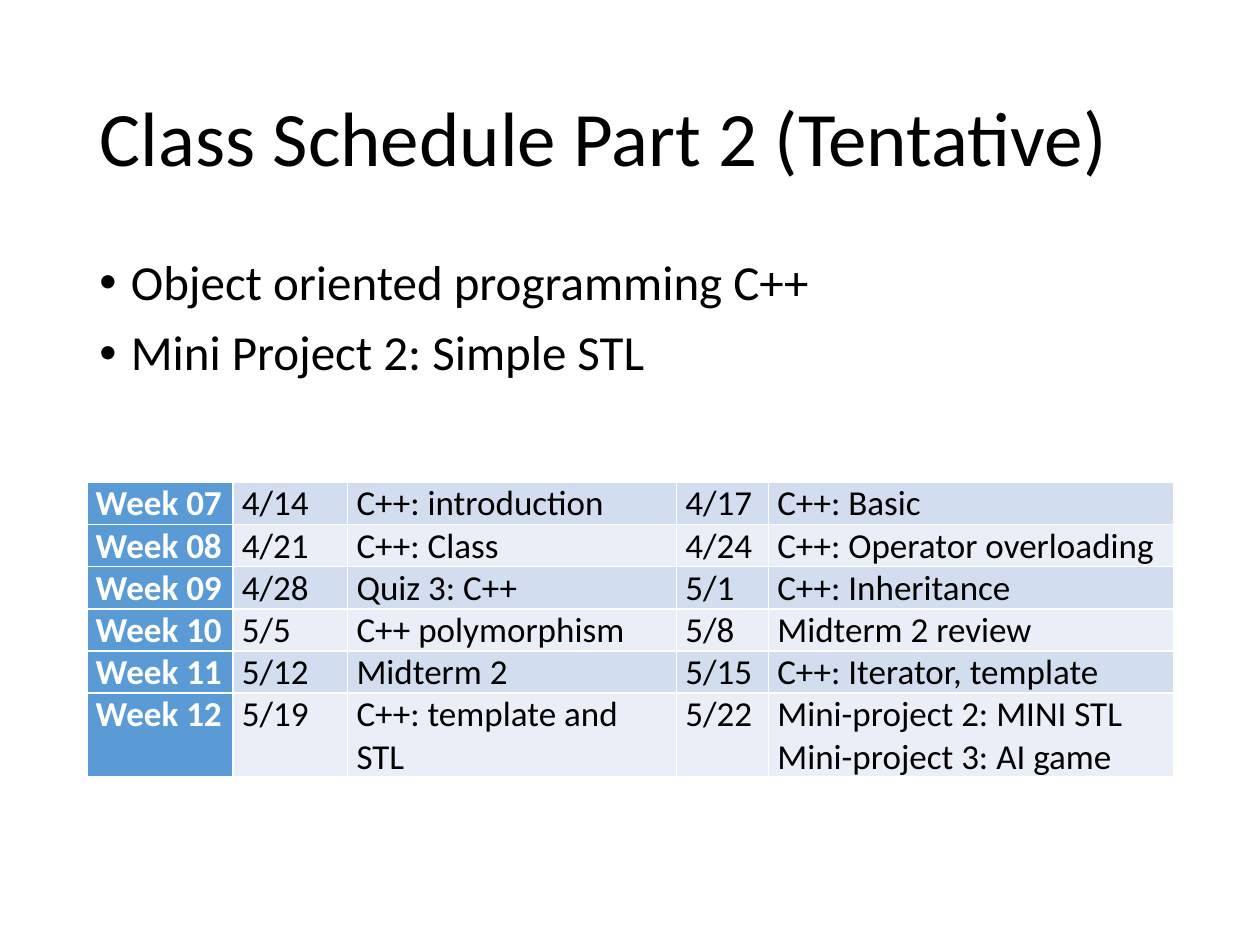
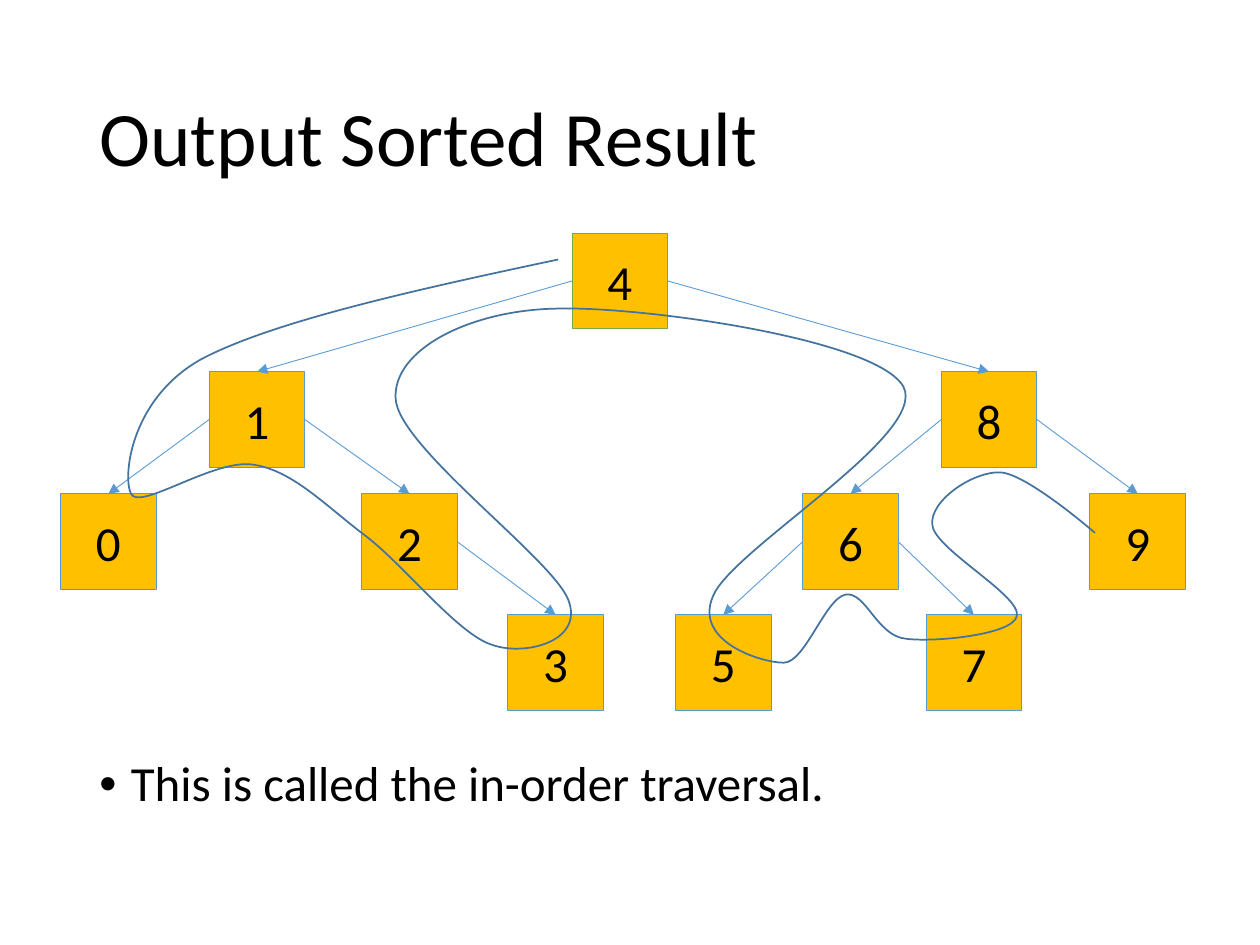
from lxml import etree
from pptx import Presentation
from pptx.dml.color import RGBColor
from pptx.enum.shapes import MSO_CONNECTOR, MSO_SHAPE
from pptx.enum.text import MSO_ANCHOR, PP_ALIGN
from pptx.oxml.ns import qn
from pptx.util import Inches, Pt

FONT = "Calibri"
COLORS = {
    "text": "000000",
    "white": "FFFFFF",
    "blue": "5B9BD5",
    "odd_row": "D2DEEF",
    "even_row": "EAEFF7",
    "node": "FFC000",
    "root_line": "70AD47",
    "traversal": "43739E",
}
LEFT, CONTENT_WIDTH = 0.69, 8.62

# Schedule
COLUMN_WIDTHS = [1.16, 0.91, 2.61, 0.73, 3.22]
ROW_HEIGHT, SCHEDULE_HEIGHT = 0.18, 2.33  # rows grow to fit their text
SCHEDULE = [
    ["Week 07", "4/14", "C++: introduction", "4/17", "C++: Basic"],
    ["Week 08", "4/21", "C++: Class", "4/24", "C++: Operator overloading"],
    ["Week 09", "4/28", "Quiz 3: C++", "5/1", "C++: Inheritance"],
    ["Week 10", "5/5", "C++ polymorphism", "5/8", "Midterm 2 review"],
    ["Week 11", "5/12", "Midterm 2", "5/15", "C++: Iterator, template"],
    ["Week 12", "5/19", "C++: template and STL", "5/22",
     "Mini-project 2: MINI STL Mini-project 3: AI game"],
]

# Search tree: key -> (left, level), parent -> (left child, right child)
NODE_SIZE = 0.76
LEVEL_TOPS = [1.85, 2.95, 3.92, 4.88]
NODES = {
    4: (4.54, 0),
    1: (1.66, 1), 8: (7.47, 1),
    0: (0.48, 2), 2: (2.87, 2), 6: (6.37, 2), 9: (8.65, 2),
    3: (4.03, 3), 5: (5.36, 3), 7: (7.35, 3),
}
CHILDREN = {4: (1, 8), 1: (0, 2), 8: (6, 9), 2: (None, 3), 6: (5, 7)}
TOP, LEFT_SIDE, RIGHT_SIDE = 0, 1, 3

# Traversal: start point, then two control points and an end point per curve
TRAVERSAL_START = (4.43, 2.06)
TRAVERSAL_CURVES = [
    ((3.3, 2.3), (2.17, 2.55), (1.6, 2.85)),
    ((1.04, 3.16), (0.97, 3.78), (1.04, 3.92)),
    ((1.11, 4.06), (1.71, 3.63), (2.02, 3.69)),
    ((2.33, 3.74), (2.59, 4.02), (2.91, 4.26)),
    ((3.22, 4.5), (3.64, 5.04), (3.91, 5.12)),
    ((4.17, 5.21), (4.64, 5.09), (4.51, 4.76)),
    ((4.38, 4.43), (3.15, 3.54), (3.14, 3.16)),
    ((3.12, 2.77), (3.74, 2.46), (4.42, 2.45)),
    ((5.09, 2.43), (6.96, 2.69), (7.17, 3.07)),
    ((7.37, 3.45), (5.81, 4.36), (5.66, 4.73)),
    ((5.5, 5.09), (6.04, 5.26), (6.22, 5.26)),
    ((6.39, 5.26), (6.55, 4.75), (6.71, 4.72)),
    ((6.87, 4.69), (6.96, 5.05), (7.19, 5.07)),
    ((7.41, 5.1), (8.04, 5.04), (8.07, 4.89)),
    ((8.11, 4.73), (7.42, 4.36), (7.4, 4.17)),
    ((7.37, 3.98), (7.72, 3.74), (7.94, 3.75)),
    ((8.15, 3.76), (8.69, 4.23), (8.69, 4.23)),
]


def rgb(name):
    return RGBColor.from_string(COLORS[name])


def add_run(paragraph, text, size, color="text", bold=False):
    run = paragraph.add_run()
    run.text = text
    font = run.font
    font.name, font.size, font.bold = FONT, Pt(size), bold
    font.color.rgb = rgb(color)


def set_line(line, color, width):
    line.color.rgb = rgb(color)
    line.width = Pt(width)


def add_titled_slide(prs, text):
    slide = prs.slides.add_slide(prs.slide_layouts[5])
    title = slide.shapes.title
    title.left, title.top = Inches(LEFT), Inches(0.4)
    title.width, title.height = Inches(CONTENT_WIDTH), Inches(1.45)
    frame = title.text_frame
    frame.vertical_anchor = MSO_ANCHOR.MIDDLE
    heading = frame.paragraphs[0]
    heading.alignment = PP_ALIGN.LEFT
    heading.line_spacing = 0.9
    add_run(heading, text, 44)
    return slide


def add_bullets(slide, top, height, items):
    box = slide.shapes.add_textbox(
        Inches(LEFT), Inches(top), Inches(CONTENT_WIDTH), Inches(height))
    frame = box.text_frame
    frame.word_wrap = True
    for i, item in enumerate(items):
        bullet = frame.add_paragraph() if i else frame.paragraphs[0]
        props = bullet._p.get_or_add_pPr()
        props.set("marL", str(Inches(0.25)))
        props.set("indent", str(-Inches(0.25)))
        etree.SubElement(props, qn("a:buFont"), typeface="Arial")
        etree.SubElement(props, qn("a:buChar"), char="•")
        bullet.line_spacing = 0.9
        bullet.space_before = Pt(10 if i else 0)
        add_run(bullet, item, 28)


def add_cell_borders(cell):
    props = cell._tc.get_or_add_tcPr()
    for side in ("lnL", "lnR", "lnT", "lnB"):
        border = etree.SubElement(props, qn(f"a:{side}"), w=str(Pt(1)))
        fill = etree.SubElement(border, qn("a:solidFill"))
        etree.SubElement(fill, qn("a:srgbClr"), val=COLORS["white"])


def add_schedule(slide, top):
    frame = slide.shapes.add_table(
        len(SCHEDULE), len(COLUMN_WIDTHS), Inches(LEFT), Inches(top),
        Inches(CONTENT_WIDTH), Inches(SCHEDULE_HEIGHT))
    schedule = frame.table
    schedule.first_row = schedule.horz_banding = False
    schedule.first_col = True
    for column, width in zip(schedule.columns, COLUMN_WIDTHS):
        column.width = Inches(width)
    for r, week in enumerate(SCHEDULE):
        schedule.rows[r].height = Inches(ROW_HEIGHT)
        band = "even_row" if r % 2 else "odd_row"
        for c, entry in enumerate(week):
            is_week = c == 0
            cell = schedule.cell(r, c)
            cell.margin_left = cell.margin_right = Inches(0.07)
            cell.margin_top = cell.margin_bottom = 0
            add_cell_borders(cell)
            cell.fill.solid()
            cell.fill.fore_color.rgb = rgb("blue" if is_week else band)
            add_run(cell.text_frame.paragraphs[0], entry, 20,
                    "white" if is_week else "text", is_week)
    frame.width, frame.height = Inches(CONTENT_WIDTH), Inches(SCHEDULE_HEIGHT)


def add_node(slide, key, left, level):
    node = slide.shapes.add_shape(
        MSO_SHAPE.RECTANGLE, Inches(left), Inches(LEVEL_TOPS[level]),
        Inches(NODE_SIZE), Inches(NODE_SIZE))
    node.shadow.inherit = False
    node.fill.solid()
    node.fill.fore_color.rgb = rgb("node")
    set_line(node.line, "blue" if level else "root_line", 0.5)
    node.text_frame.vertical_anchor = MSO_ANCHOR.MIDDLE
    label = node.text_frame.paragraphs[0]
    label.alignment = PP_ALIGN.CENTER
    add_run(label, str(key), 28)
    return node


def add_edge(slide, parent, side, child):
    edge = slide.shapes.add_connector(MSO_CONNECTOR.STRAIGHT, 0, 0, 0, 0)
    edge.begin_connect(parent, side)
    edge.end_connect(child, TOP)
    set_line(edge.line, "blue", 0.5)
    etree.SubElement(edge.line._get_or_add_ln(), qn("a:tailEnd"),
                     type="triangle")
    etree.SubElement(edge._element.spPr, qn("a:effectLst"))


def add_tree(slide):
    nodes = {key: add_node(slide, key, *place)
             for key, place in NODES.items()}
    for parent, pair in CHILDREN.items():
        for side, child in zip((LEFT_SIDE, RIGHT_SIDE), pair):
            if child is not None:
                add_edge(slide, nodes[parent], side, nodes[child])


def bend_segments(freeform):
    """Turn every three line segments into one cubic curve."""
    segments = list(freeform._element.iter(qn("a:lnTo")))
    for i in range(0, len(segments), 3):
        curve = etree.Element(qn("a:cubicBezTo"))
        segments[i].addprevious(curve)
        for segment in segments[i:i + 3]:
            curve.append(segment[0])
            segment.getparent().remove(segment)


def add_traversal(slide):
    points = [tuple(map(Inches, point))
              for curve in TRAVERSAL_CURVES for point in curve]
    builder = slide.shapes.build_freeform(*map(Inches, TRAVERSAL_START))
    builder.add_line_segments(points, close=False)
    traversal = builder.convert_to_shape()
    bend_segments(traversal)
    traversal.shadow.inherit = False
    traversal.fill.background()
    set_line(traversal.line, "traversal", 1)


def main():
    prs = Presentation()
    prs.slide_width, prs.slide_height = Inches(10), Inches(7.5)

    # Class schedule
    schedule_slide = add_titled_slide(prs, "Class Schedule Part 2 (Tentative)")
    add_bullets(schedule_slide, 2, 4.76, ["Object oriented programming C++",
                                          "Mini Project 2: Simple STL"])
    add_schedule(schedule_slide, 3.83)

    # In-order traversal of the search tree
    tree_slide = add_titled_slide(prs, "Output Sorted Result")
    add_bullets(tree_slide, 5.98, 0.77,
                ["This is called the in-order traversal."])
    add_tree(tree_slide)
    add_traversal(tree_slide)

    prs.save("out.pptx")


if __name__ == "__main__":
    main()
